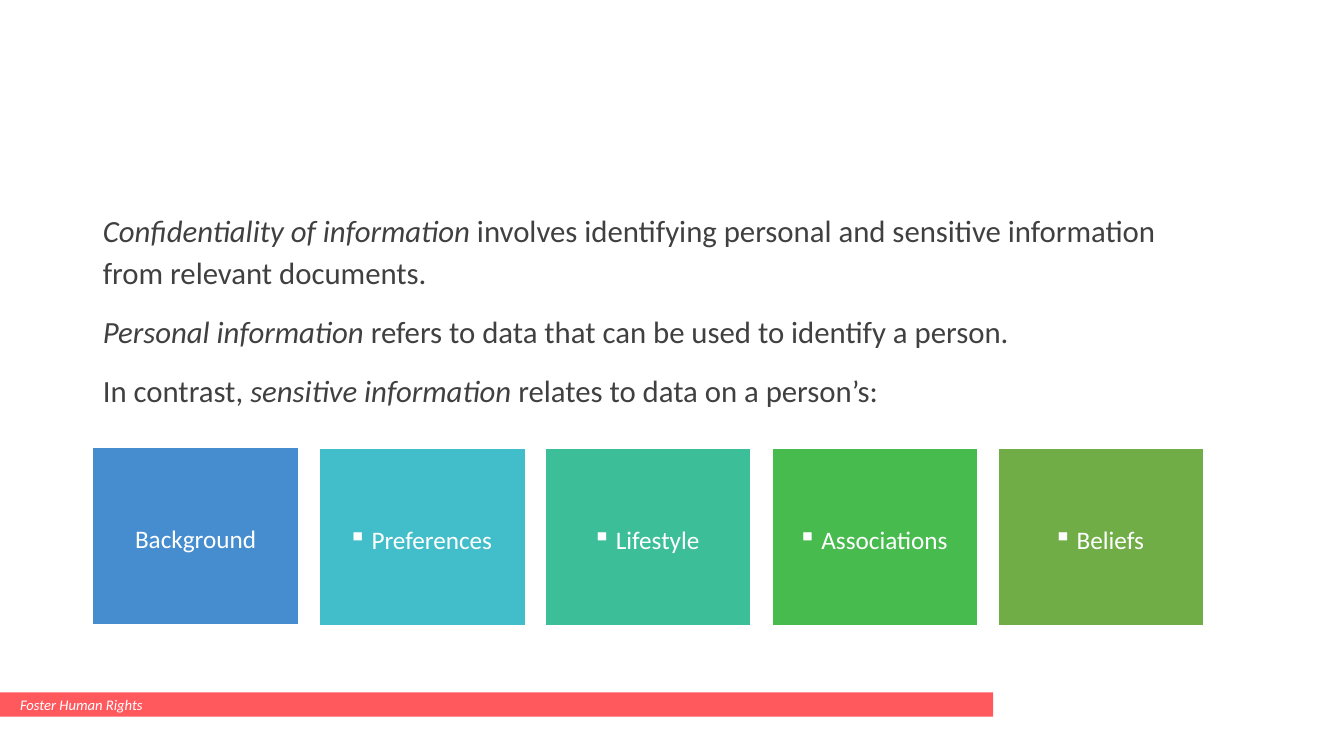
"""Builds a slide on the confidentiality of personal and sensitive information."""
from lxml.etree import SubElement
from pptx import Presentation
from pptx.dml.color import RGBColor
from pptx.enum.shapes import MSO_SHAPE as Preset
from pptx.enum.text import MSO_ANCHOR as Anchor, MSO_AUTO_SIZE as AutoSize, PP_ALIGN as Align
from pptx.oxml.ns import qn
from pptx.util import Emu, Pt

WHITE = RGBColor(0xFF, 0xFF, 0xFF)
CHARCOAL = RGBColor(0x40, 0x40, 0x40)
CORAL = RGBColor(0xFF, 0x59, 0x5E)
BLUE = RGBColor(0x45, 0x8D, 0xCF)
TEAL = RGBColor(0x42, 0xBD, 0xCA)
MINT = RGBColor(0x3C, 0xBE, 0x99)
GREEN = RGBColor(0x48, 0xBB, 0x4F)
OLIVE = RGBColor(0x70, 0xAD, 0x47)

EMU_PER_PX = 9144

DEFINITIONS = [
    [("Confidentiality of information ", True),
     ("involves identifying personal and sensitive information from relevant documents.", False)],
    [("Personal information ", True),
     ("refers to data that can be used to identify a person.", False)],
    [("In contrast, ", False), ("sensitive information ", True),
     ("relates to data on a person’s:", False)],
]
SENSITIVE_DATA = [("Background", BLUE), ("Preferences", TEAL), ("Lifestyle", MINT),
                  ("Associations", GREEN), ("Beliefs", OLIVE)]


def px(length):
    return Emu(length * EMU_PER_PX)


class SlideBuilder:
    font_name = "Calibri"
    line_spacing = 1.14
    gap = Pt(6)

    def __init__(self, deck):
        self.slide = deck.slides.add_slide(deck.slide_layouts[1])

    def style(self, run, size, color, italic=False):
        run.font.name = self.font_name
        run.font.size = Pt(size)
        run.font.color.rgb = color
        run.font.italic = italic

    def bullet(self, paragraph, mark=None, margin=0, hang=0):
        properties = paragraph._p.get_or_add_pPr()
        properties.set("marL", str(px(margin)))
        properties.set("indent", str(px(-hang)))
        if mark:
            SubElement(properties, qn("a:buChar"), char=mark)
        else:
            SubElement(properties, qn("a:buNone"))

    def drop_title(self):
        title = self.slide.shapes.title
        title._element.getparent().remove(title._element)

    def body(self, left, top, width, height, passages):
        body = self.slide.placeholders[1]
        body.left, body.top, body.width, body.height = map(px, (left, top, width, height))
        frame = body.text_frame
        frame.auto_size = AutoSize.NONE
        frame.vertical_anchor = Anchor.TOP
        for index, passage in enumerate(passages):
            paragraph = frame.add_paragraph() if index else frame.paragraphs[0]
            self.bullet(paragraph)
            paragraph.line_spacing = self.line_spacing
            paragraph.space_before = self.gap if index else Pt(0)
            paragraph.space_after = self.gap
            for words, italic in passage:
                run = paragraph.add_run()
                run.text = words
                self.style(run, 22, CHARCOAL, italic)

    def block(self, left, top, width, height, fill, label, size, align, italic=False):
        block = self.slide.shapes.add_shape(Preset.RECTANGLE, *map(px, (left, top, width, height)))
        block.shadow.inherit = False
        block.fill.solid()
        block.fill.fore_color.rgb = fill
        block.line.fill.background()
        frame = block.text_frame
        frame.word_wrap = True
        frame.vertical_anchor = Anchor.MIDDLE
        frame.text = label
        paragraph = frame.paragraphs[0]
        paragraph.alignment = align
        self.style(paragraph.runs[0], size, WHITE, italic)
        return block

    def banner(self, left, top, width, height, label):
        banner = self.block(left, top, width, height, CORAL, label, 10.5, Align.LEFT, True)
        self.bullet(banner.text_frame.paragraphs[0], margin=10)

    def tile(self, left, top, width, height, fill, label, mark):
        tile = self.block(left, top, width, height, fill, label, 18, Align.CENTER)
        tile.line.color.rgb = WHITE
        tile.line.width = Pt(1)
        frame = tile.text_frame
        frame.margin_left = frame.margin_right = px(7)
        frame.margin_top = frame.margin_bottom = px(7)
        paragraph = frame.paragraphs[0]
        if mark:
            self.bullet(paragraph, mark, margin=9, hang=23)
        paragraph.line_spacing = self.line_spacing
        paragraph.space_after = self.gap


def main():
    deck = Presentation()
    deck.slide_width, deck.slide_height = px(1333), px(750)
    builder = SlideBuilder(deck)
    builder.drop_title()
    builder.body(92, 200, 1103, 476, DEFINITIONS)
    builder.banner(0, 687, 985, 24, "Foster Human Rights")
    for index, (topic, color) in enumerate(SENSITIVE_DATA):
        left = 92 + (index * 449 + 1) // 2
        top, mark = (445, "▪") if index else (444, None)
        builder.tile(left, top, 204, 176, color, topic, mark)
    deck.save("out.pptx")


if __name__ == "__main__":
    main()
